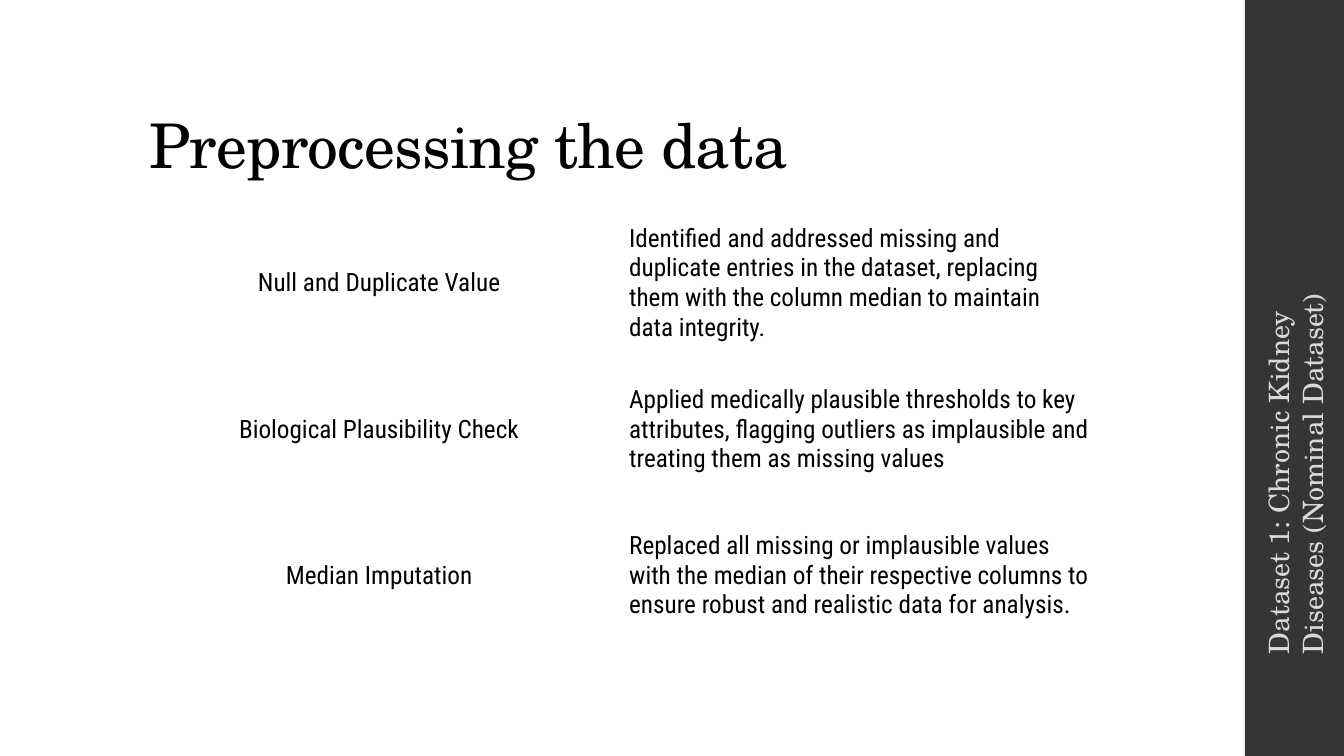
from pptx import Presentation
from pptx.dml.color import RGBColor
from pptx.enum.shapes import MSO_SHAPE
from pptx.enum.text import MSO_ANCHOR, PP_ALIGN
from pptx.util import Pt

# Content
HEADING = "Preprocessing the data"
DATASET = "Dataset 1: Chronic Kidney Diseases (Nominal Dataset)"
STEPS = [  # step, explanation, row height
    ("Null and Duplicate Value",
     "Identified and addressed missing and duplicate entries in the dataset, "
     "replacing them with the column median to maintain data integrity.", 118),
    ("Biological Plausibility Check",
     "Applied medically plausible thresholds to key attributes, flagging "
     "outliers as implausible and treating them as missing values", 91),
    ("Median Imputation",
     "Replaced all missing or implausible values with the median of their "
     "respective columns to ensure robust and realistic data for analysis.", 118),
]

# Style and layout, in points
BLACK = RGBColor(0x00, 0x00, 0x00)
WHITE = RGBColor(0xFF, 0xFF, 0xFF)
CHARCOAL = RGBColor(0x35, 0x35, 0x37)
SILVER = RGBColor(0xD9, 0xD9, 0xDB)
SERIF, SANS = "TeX Gyre Schola", "Roboto Condensed"
SLIDE_W, SLIDE_H = 960, 540
LEFT = 99.4
BAND_LEFT, BAND_W = 889.2, 72
COLUMN_W = 342.8
LABEL_W, LABEL_H, LABEL_MIDDLE = 282.2, 28.8, 333.3


def write(frame, text, font, size, color, align=PP_ALIGN.LEFT):
    paragraph = frame.paragraphs[0]
    paragraph.alignment = align
    run = paragraph.add_run()
    run.text = text
    run.font.name, run.font.size = font, Pt(size)
    run.font.bold = False
    run.font.color.rgb = color
    return paragraph, run


def place(shape, left, top, width, height):
    shape.left, shape.top = Pt(left), Pt(top)
    shape.width, shape.height = Pt(width), Pt(height)


deck = Presentation()
deck.slide_width, deck.slide_height = Pt(SLIDE_W), Pt(SLIDE_H)
slide = deck.slides.add_slide(deck.slide_layouts[5])
slide.background.fill.solid()
slide.background.fill.fore_color.rgb = WHITE

# Side band
band = slide.shapes.add_shape(MSO_SHAPE.RECTANGLE, Pt(BAND_LEFT), 0,
                              Pt(BAND_W), Pt(SLIDE_H))
band.shadow.inherit = False
band.fill.solid()
band.fill.fore_color.rgb = CHARCOAL
band.line.fill.background()

# Title
heading = slide.shapes.title
place(heading, LEFT, 28.8, 763.2, 104.4)
heading.text_frame.vertical_anchor = MSO_ANCHOR.BOTTOM
heading.text_frame.word_wrap = True
paragraph, run = write(heading.text_frame, HEADING, SERIF, 44, BLACK)
paragraph.line_spacing = 0.9
run.font._element.set("spc", "-50")

# Steps table
steps = slide.shapes.add_table(len(STEPS), 2, Pt(LEFT), Pt(143.3), Pt(2 * COLUMN_W),
                               Pt(sum(height for *_, height in STEPS))).table
steps.first_row = steps.horz_banding = False
for column in steps.columns:
    column.width = Pt(COLUMN_W)
for row, (step, explanation, height) in zip(steps.rows, STEPS):
    row.height = Pt(height)
    for cell, text, align in zip(row.cells, (step, explanation),
                                 (PP_ALIGN.CENTER, PP_ALIGN.LEFT)):
        cell.fill.background()
        cell.vertical_anchor = MSO_ANCHOR.MIDDLE
        write(cell.text_frame, text, SANS, 18, BLACK, align)

# Dataset label, turned to read upwards along the band
label = slide.shapes.add_textbox(Pt(BAND_LEFT + BAND_W / 2 - LABEL_W / 2),
                                 Pt(LABEL_MIDDLE - LABEL_H / 2),
                                 Pt(LABEL_W), Pt(LABEL_H))
label.rotation = 270
label.text_frame.word_wrap = True
label.text_frame.vertical_anchor = MSO_ANCHOR.MIDDLE
write(label.text_frame, DATASET, SERIF, 20, SILVER)

deck.save("out.pptx")
